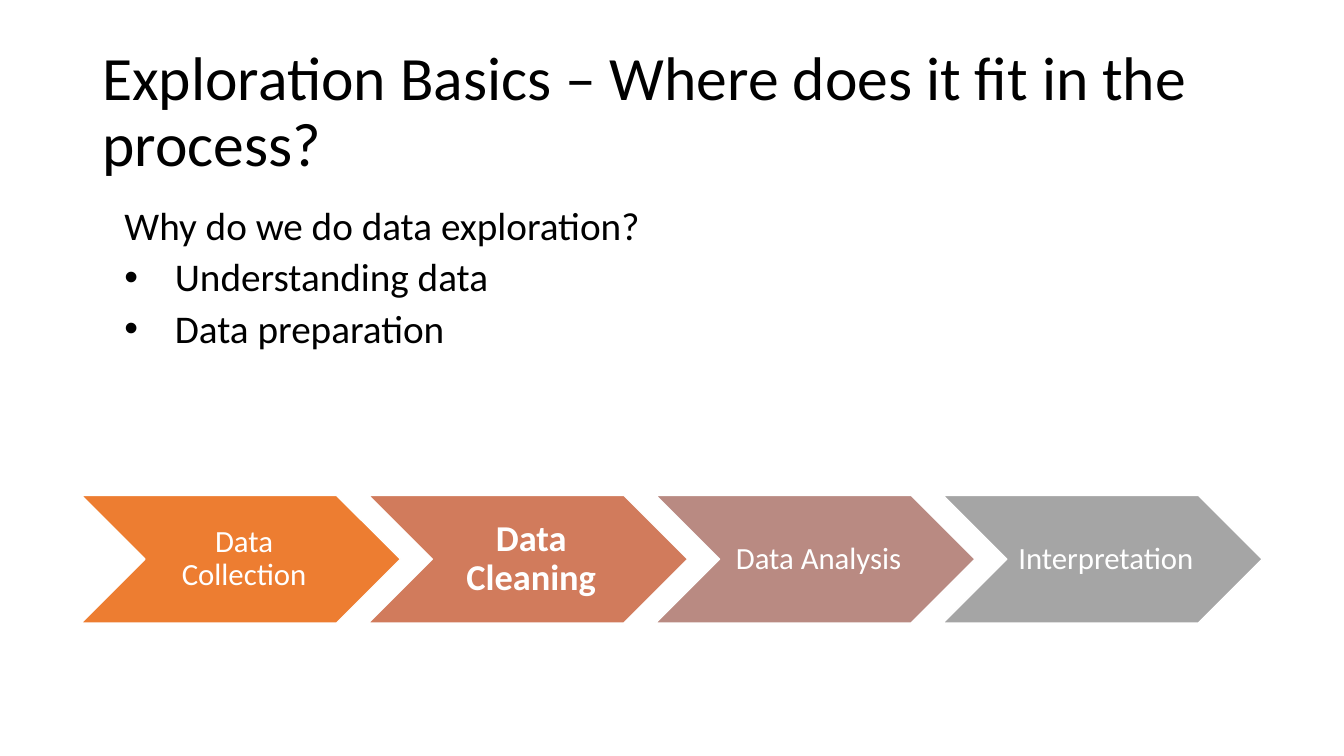
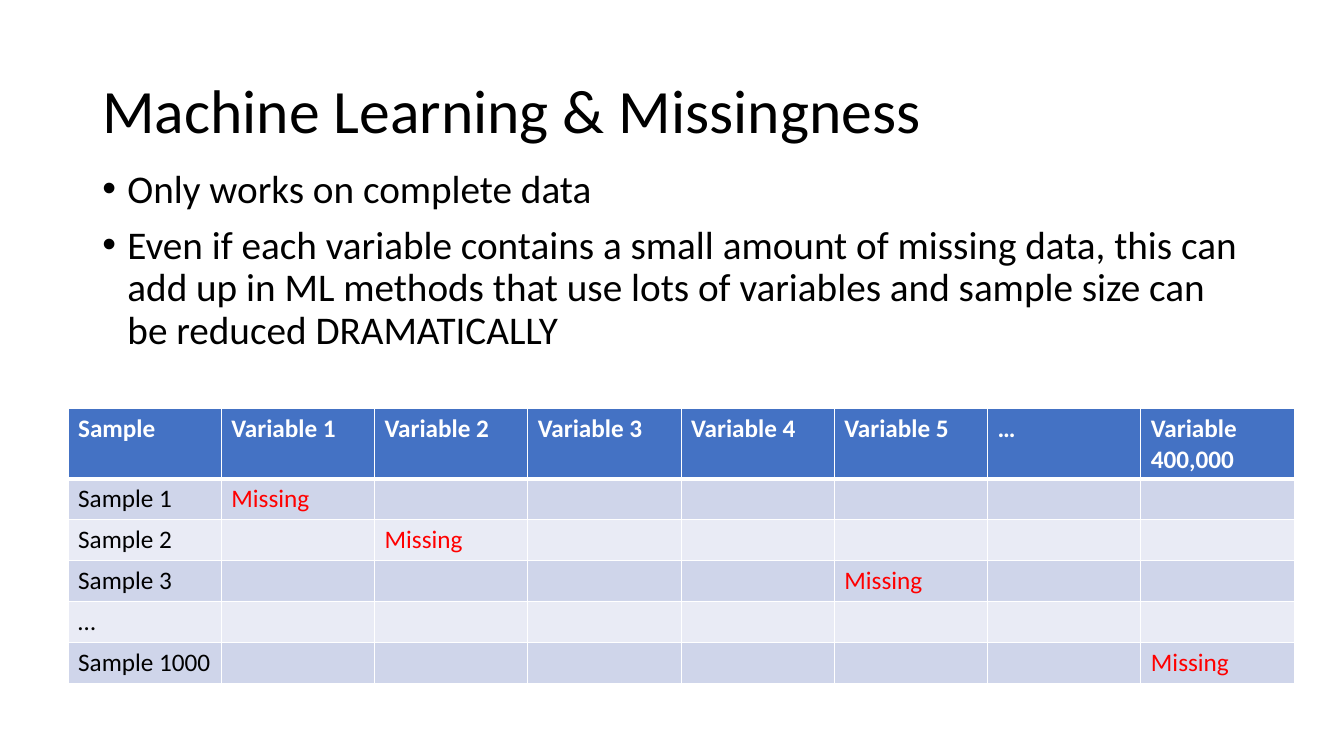
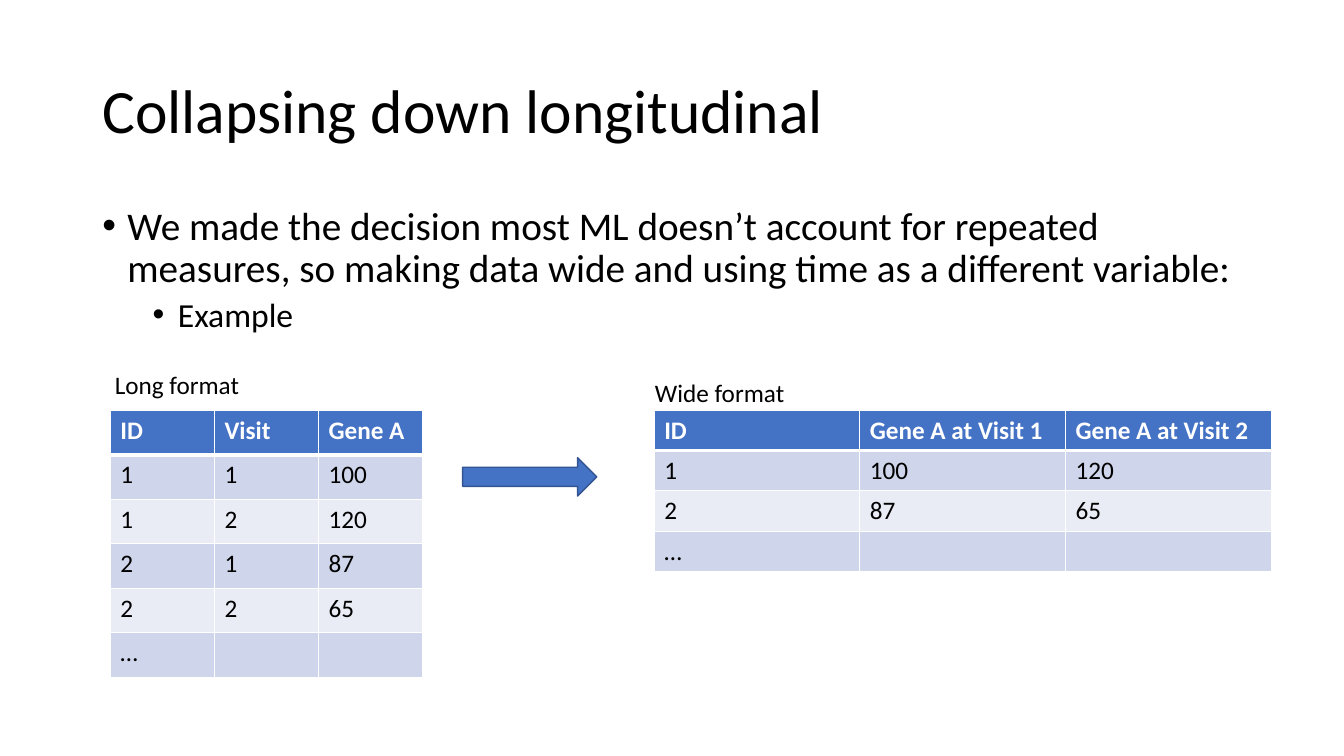
from dataclasses import dataclass

from lxml.etree import SubElement
from pptx import Presentation
from pptx.dml.color import RGBColor
from pptx.enum.shapes import MSO_SHAPE
from pptx.enum.text import MSO_ANCHOR, MSO_AUTO_SIZE, PP_ALIGN
from pptx.oxml.ns import qn
from pptx.shapes.autoshape import Shape
from pptx.slide import Slide
from pptx.table import _Cell
from pptx.text.text import _Paragraph
from pptx.util import Pt

FONT = "Calibri"
COLORS = {
    "black": "000000",
    "white": "FFFFFF",
    "red": "FF0000",
    "blue": "4472C4",
    "navy": "325491",
    "odd": "CFD5EA",
    "even": "E9EBF5",
    "orange": "ED7D31",
    "coral": "D17B5C",
    "rose": "B98A82",
    "gray": "A5A5A5",
}


@dataclass
class Box:
    left: float
    top: float
    width: float
    height: float

    def lengths(self) -> list[Pt]:
        return [Pt(n) for n in (self.left, self.top, self.width, self.height)]


@dataclass
class Item:
    text: str
    left: float = 18
    hang: float = 18
    before: float = 10
    size: float = 28
    bullet: bool = True


@dataclass
class Step:
    text: str
    color: str
    size: float = 22
    bold: bool = False


@dataclass
class Grid:
    left: float
    top: float
    col: float
    row: float
    cells: list[list[str]]


TITLE = Box(66, 28.8, 828, 104.4)
BODY = Box(66, 144, 828, 342.7)
HIGH_BODY = Box(66, 117.4, 828, 342.7)
CHEVRON = Box(58, 353.8, 228, 91.2)
CHEVRON_STEP = 205.2
ARROW = Box(330.5, 326.9, 95.8, 27.4)

GOALS = [
    Item("Why do we do data exploration?", 15.84, 0, 6.4, bullet=False),
    Item("Understanding data", 51.84, 36, 6.4),
    Item("Data preparation", 51.84, 36, 6.4),
]
STEPS = [
    Step("Data Collection", "orange"),
    Step("Data Cleaning", "coral", 26, True),
    Step("Data Analysis", "rose"),
    Step("Interpretation", "gray"),
]
LIMITS = [
    Item("Only works on complete data"),
    Item(
        "Even if each variable contains a small amount of missing data, this can "
        "add up in ML methods that use lots of variables and sample size can "
        "be reduced DRAMATICALLY"
    ),
]
CHOICE = [
    Item(
        "We made the decision most ML doesn’t account for repeated measures, "
        "so making data wide and using time as a different variable:"
    ),
    Item("Example", 54, 18, 5, 24),
]

HEADS = ["Sample", *(f"Variable {n}" for n in range(1, 6)), "…", "Variable 400,000"]
GAPS = {"Sample 1": 1, "Sample 2": 2, "Sample 3": 5, "…": None, "Sample 1000": 7}
SAMPLES = Grid(48.6, 291.6, 109.5, 29.2, [
    HEADS,
    *([name, *("Missing" if col == gap else "" for col in range(1, len(HEADS)))]
      for name, gap in GAPS.items()),
])
LONG = Grid(78.8, 293, 74.4, 31.8, [
    ["ID", "Visit", "Gene A"],
    ["1", "1", "100"],
    ["1", "2", "120"],
    ["2", "1", "87"],
    ["2", "2", "65"],
    ["…", "", ""],
])
WIDE = Grid(467.3, 293, 146.9, 28.8, [
    ["ID", "Gene A at Visit 1", "Gene A at Visit 2"],
    ["1", "100", "120"],
    ["2", "87", "65"],
    ["…", "", ""],
])


def rgb(name: str) -> RGBColor:
    return RGBColor.from_string(COLORS[name])


def style(par: _Paragraph, size: float, color: str = "black", bold: bool = False) -> None:
    font = par.font
    font.name, font.size, font.bold = FONT, Pt(size), bold
    font.color.rgb = rgb(color)


def add_title(slide: Slide, text: str) -> None:
    frame = slide.shapes.add_textbox(*TITLE.lengths()).text_frame
    frame.word_wrap = True
    frame.vertical_anchor = MSO_ANCHOR.MIDDLE
    par = frame.paragraphs[0]
    par.text, par.line_spacing = text, 0.9
    style(par, 44)


def add_body(slide: Slide, box: Box, items: list[Item]) -> None:
    frame = slide.shapes.add_textbox(*box.lengths()).text_frame
    frame.word_wrap = True
    for i, item in enumerate(items):
        par = frame.add_paragraph() if i else frame.paragraphs[0]
        par.text, par.line_spacing = item.text, 0.9
        par.space_before = Pt(item.before)
        props = par._p.get_or_add_pPr()
        props.set("marL", str(Pt(item.left)))
        props.set("indent", str(Pt(-item.hang)))
        if item.bullet:
            SubElement(props, qn("a:buFont"), typeface="Arial")
            SubElement(props, qn("a:buChar"), char="•")
        style(par, item.size)


def add_label(slide: Slide, box: Box, text: str) -> None:
    frame = slide.shapes.add_textbox(*box.lengths()).text_frame
    frame.word_wrap = False
    frame.auto_size = MSO_AUTO_SIZE.SHAPE_TO_FIT_TEXT
    frame.text = text
    style(frame.paragraphs[0], 18)


def add_form(slide: Slide, kind: MSO_SHAPE, box: Box, fill: str, line: str) -> Shape:
    shape = slide.shapes.add_shape(kind, *box.lengths())
    shape.shadow.inherit = False
    shape.fill.solid()
    shape.fill.fore_color.rgb = rgb(fill)
    shape.line.color.rgb = rgb(line)
    shape.line.width = Pt(1)
    return shape


def add_steps(slide: Slide, steps: list[Step]) -> None:
    for i, step in enumerate(steps):
        left = CHEVRON.left + i * CHEVRON_STEP
        box = Box(left, CHEVRON.top, CHEVRON.width, CHEVRON.height)
        frame = add_form(slide, MSO_SHAPE.CHEVRON, box, step.color, "white").text_frame
        frame.word_wrap = True
        frame.vertical_anchor = MSO_ANCHOR.MIDDLE
        frame.margin_left = Pt(7.2)
        frame.margin_top = frame.margin_right = frame.margin_bottom = Pt(2.4)
        par = frame.paragraphs[0]
        par.text, par.line_spacing = step.text, 0.9
        par.alignment = PP_ALIGN.CENTER
        style(par, step.size, "white", step.bold)


def add_rules(cell: _Cell, row: int) -> None:
    """Draw white cell borders, thicker between the head and the first row."""
    props = cell._tc.get_or_add_tcPr()
    widths = {"L": 1, "R": 1, "T": 3 if row == 1 else 1, "B": 3 if row == 0 else 1}
    for side, width in widths.items():
        line = SubElement(props, qn(f"a:ln{side}"), w=str(Pt(width)))
        fill = SubElement(line, qn("a:solidFill"))
        SubElement(fill, qn("a:srgbClr"), val=COLORS["white"])


def add_grid(slide: Slide, grid: Grid) -> None:
    rows, cols = len(grid.cells), len(grid.cells[0])
    box = Box(grid.left, grid.top, cols * grid.col, rows * grid.row)
    table = slide.shapes.add_table(rows, cols, *box.lengths()).table
    for r, texts in enumerate(grid.cells):
        back = "blue" if r == 0 else "odd" if r % 2 else "even"
        for c, text in enumerate(texts):
            cell = table.cell(r, c)
            add_rules(cell, r)
            cell.fill.solid()
            cell.fill.fore_color.rgb = rgb(back)
            cell.text = text
            color = "white" if r == 0 else "red" if text == "Missing" else "black"
            style(cell.text_frame.paragraphs[0], 18, color, r == 0)


def main() -> None:
    deck = Presentation()
    deck.slide_width, deck.slide_height = Pt(960), Pt(540)
    blank = deck.slide_layouts[6]

    slide = deck.slides.add_slide(blank)
    add_title(slide, "Exploration Basics – Where does it fit in the process?")
    add_body(slide, BODY, GOALS)
    add_steps(slide, STEPS)

    slide = deck.slides.add_slide(blank)
    add_title(slide, "Machine Learning & Missingness")
    add_body(slide, HIGH_BODY, LIMITS)
    add_grid(slide, SAMPLES)

    slide = deck.slides.add_slide(blank)
    add_title(slide, "Collapsing down longitudinal")
    add_body(slide, BODY, CHOICE)
    add_grid(slide, LONG)
    add_label(slide, Box(74.9, 260.6, 104.4, 28.8), "Long format")
    add_grid(slide, WIDE)
    add_form(slide, MSO_SHAPE.RIGHT_ARROW, ARROW, "blue", "navy")
    add_label(slide, Box(460.8, 265.7, 108, 28.8), "Wide format")

    deck.save("out.pptx")


if __name__ == "__main__":
    main()
